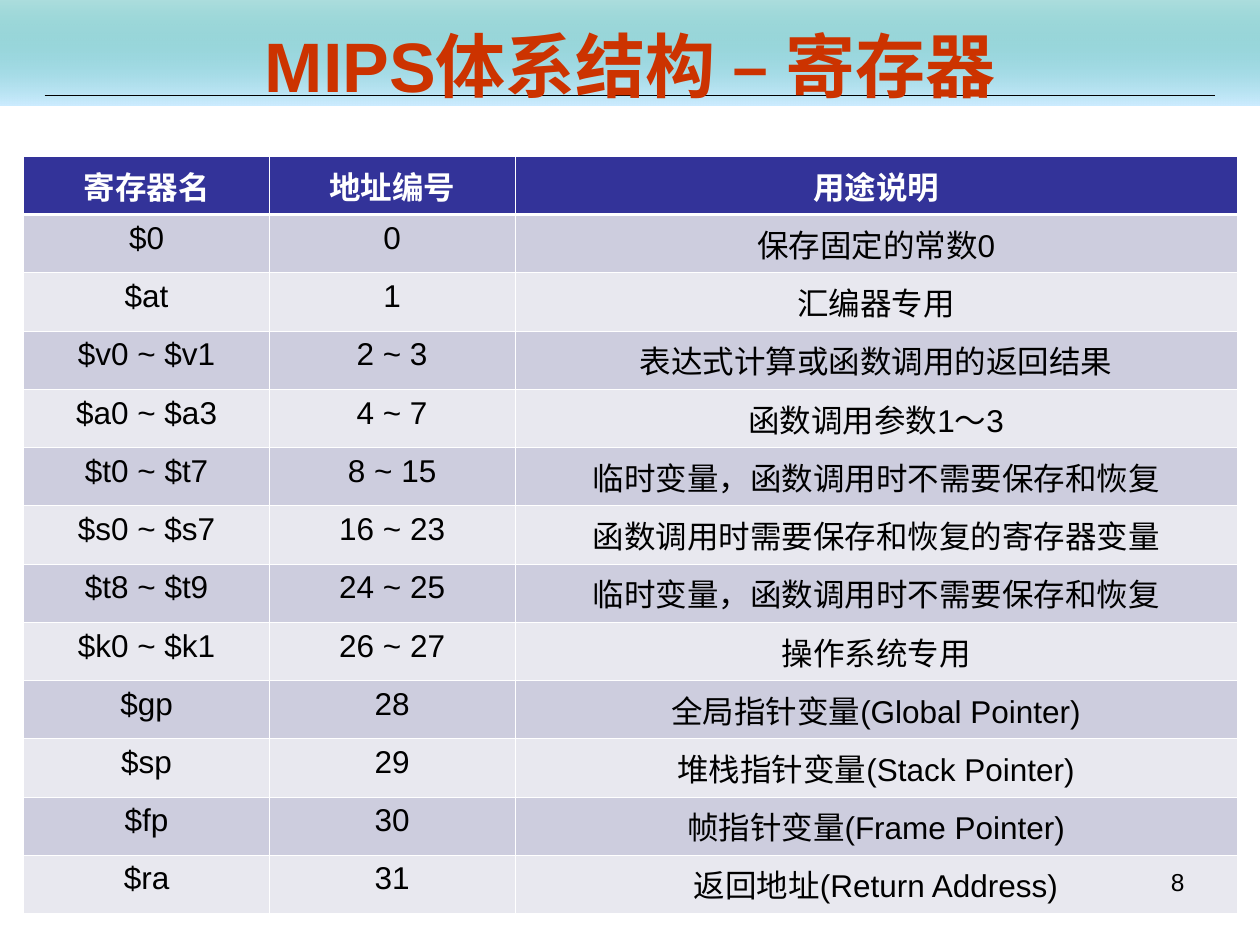
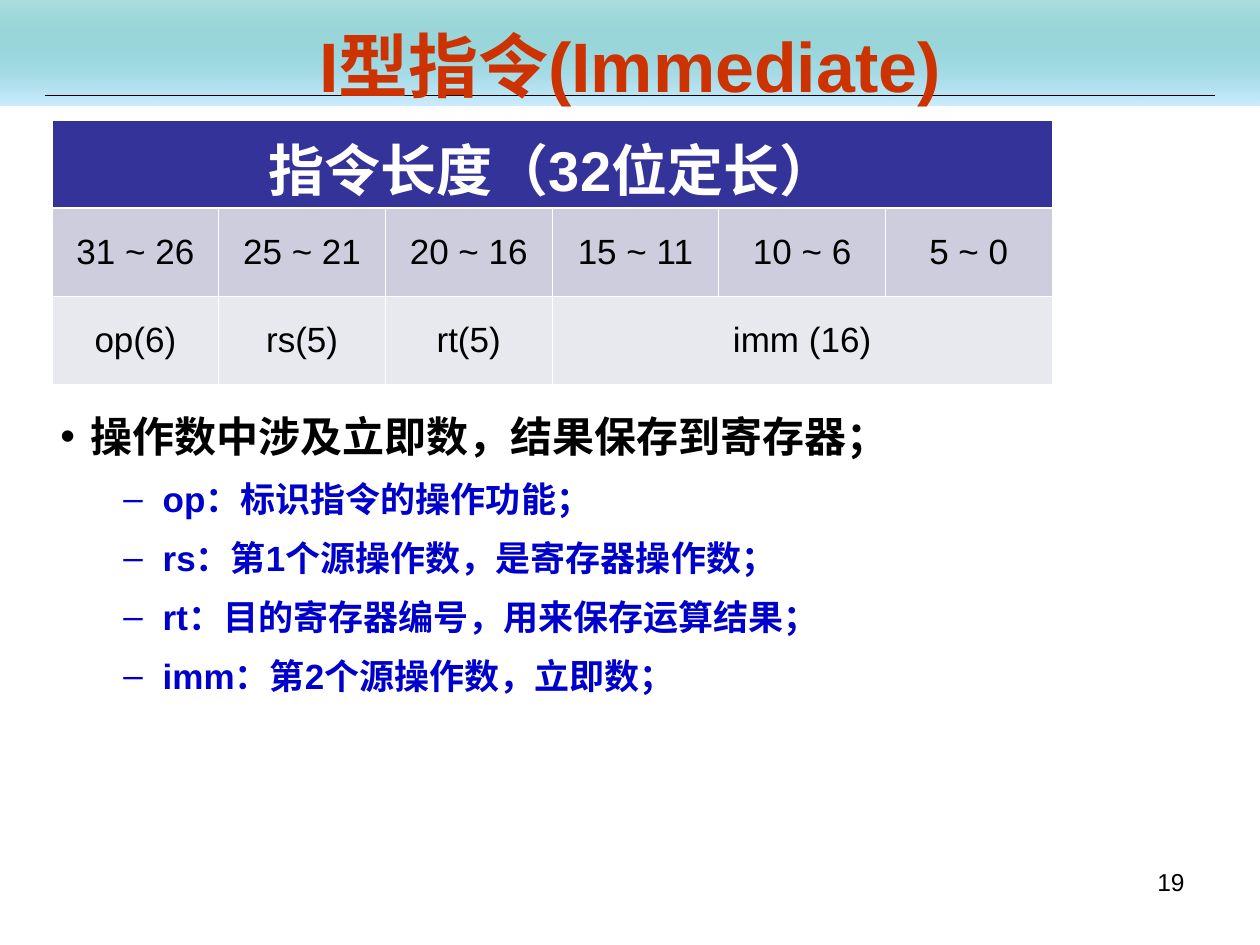
"""Build two slides on the MIPS registers and the I-type instruction format."""
from dataclasses import dataclass, field

from lxml.etree import SubElement
from pptx import Presentation
from pptx.dml.color import RGBColor
from pptx.enum.shapes import MSO_CONNECTOR, MSO_SHAPE
from pptx.enum.text import MSO_ANCHOR, MSO_AUTO_SIZE, PP_ALIGN
from pptx.oxml import parse_xml
from pptx.oxml.ns import nsdecls, qn
from pptx.slide import Slide, SlideLayout
from pptx.util import Cm, Length, Pt


@dataclass(frozen=True)
class Theme:
    font: str = "Arial"
    title_color: str = "CC3300"
    band_top: str = "009999"
    band_bottom: str = "CCECFF"
    band_top_alpha: int = 32000
    header_fill: str = "333399"
    odd_fill: str = "CDCDDE"
    even_fill: str = "E8E8EF"
    white: str = "FFFFFF"
    black: str = "000000"
    detail_color: str = "0000CC"
    title_size: int = 40
    number_size: int = 14
    rule_width: float = 0.75
    grid_width: float = 0.45
    header_rule_width: float = 1.47


@dataclass(frozen=True)
class BulletLevel:
    level: int
    mark: str
    size: int
    color: str
    left: Length
    hanging: Length
    space_before: int


@dataclass(frozen=True)
class Grid:
    left: Length
    top: Length
    columns: list[Length]
    row_height: Length
    rows: list[tuple[str, ...]]
    header_size: int
    body_size: int
    anchor: MSO_ANCHOR
    spans: list[tuple[int, int, int]] = field(default_factory=list)


THEME = Theme()
POINT = BulletLevel(0, "•", 24, THEME.black, Cm(0.6), Cm(0.6), 6)
DETAIL = BulletLevel(1, "–", 20, THEME.detail_color, Cm(2.06), Cm(0.79), 6)

REGISTERS = Grid(
    Cm(0.48), Cm(3.15), [Cm(4.95), Cm(4.95), Cm(14.56)], Cm(1.07),
    [
        ("寄存器名", "地址编号", "用途说明"),
        ("$0", "0", "保存固定的常数0"),
        ("$at", "1", "汇编器专用"),
        ("$v0 ~ $v1", "2 ~ 3", "表达式计算或函数调用的返回结果"),
        ("$a0 ~ $a3", "4 ~ 7", "函数调用参数1～3"),
        ("$t0 ~ $t7", "8 ~ 15", "临时变量，函数调用时不需要保存和恢复"),
        ("$s0 ~ $s7", "16 ~ 23", "函数调用时需要保存和恢复的寄存器变量"),
        ("$t8 ~ $t9", "24 ~ 25", "临时变量，函数调用时不需要保存和恢复"),
        ("$k0 ~ $k1", "26 ~ 27", "操作系统专用"),
        ("$gp", "28", "全局指针变量(Global Pointer)"),
        ("$sp", "29", "堆栈指针变量(Stack Pointer)"),
        ("$fp", "30", "帧指针变量(Frame Pointer)"),
        ("$ra", "31", "返回地址(Return Address)"),
    ],
    18, 18, MSO_ANCHOR.TOP,
)

INSTRUCTION_FIELDS = Grid(
    Cm(1.05), Cm(2.43), [Cm(3.36)] * 6, Cm(1.77),
    [
        ("指令长度（32位定长）", "", "", "", "", ""),
        ("31 ~ 26", "25 ~ 21", "20 ~ 16", "15 ~ 11", "10 ~ 6", "5 ~ 0"),
        ("op(6)", "rs(5)", "rt(5)", "imm (16)", "", ""),
    ],
    32, 20, MSO_ANCHOR.MIDDLE, [(0, 0, 5), (2, 3, 5)],
)

FIELD_NOTES = [
    (POINT, "操作数中涉及立即数，结果保存到寄存器；"),
    (DETAIL, "op：标识指令的操作功能；"),
    (DETAIL, "rs：第1个源操作数，是寄存器操作数；"),
    (DETAIL, "rt：目的寄存器编号，用来保存运算结果；"),
    (DETAIL, "imm：第2个源操作数，立即数；"),
]


def rgb(color: str) -> RGBColor:
    """Turn a hex string into a colour."""
    return RGBColor.from_string(color)


def add_run(paragraph, text: str, size: int, color: str, bold: bool = False):
    """Append a formatted run and return it."""
    run = paragraph.add_run()
    run.text = text
    run.font.name = THEME.font
    run.font.size = Pt(size)
    run.font.bold = bold
    run.font.color.rgb = rgb(color)
    return run


def move_band_to_layout(slide: Slide, layout: SlideLayout) -> None:
    """Draw the title band and its rule, and place them on the shared layout."""
    band = slide.shapes.add_shape(MSO_SHAPE.RECTANGLE, Cm(0), Cm(0), Cm(25.4), Cm(2.13))
    band.shadow.inherit = False
    band.line.fill.background()
    band.fill.gradient()
    band.fill.gradient_angle = 270
    stops = band.fill.gradient_stops
    for stop, position, color in zip(stops, (0, 1), (THEME.band_top, THEME.band_bottom)):
        stop.position = position
        stop.color.rgb = rgb(color)
    top_color = next(band.element.iter(qn("a:srgbClr")))
    SubElement(top_color, qn("a:alpha"), val=str(THEME.band_top_alpha))

    rule = slide.shapes.add_connector(
        MSO_CONNECTOR.STRAIGHT, Cm(0.9), Cm(1.93), Cm(24.5), Cm(1.93))
    rule.line.color.rgb = rgb(THEME.black)
    rule.line.width = Pt(THEME.rule_width)
    SubElement(rule.element.spPr, qn("a:effectLst"))

    for index, part in enumerate((band, rule), start=2):
        layout.shapes.element.insert(index, part.element)


def set_title(slide: Slide, text: str) -> None:
    """Place and format the title placeholder."""
    title = slide.shapes.title
    title.left, title.top, title.width, title.height = Cm(1.27), Cm(0.53), Cm(22.86), Cm(1.55)
    frame = title.text_frame
    frame.auto_size = MSO_AUTO_SIZE.NONE
    frame.vertical_anchor = MSO_ANCHOR.MIDDLE
    frame.paragraphs[0].alignment = PP_ALIGN.CENTER
    add_run(frame.paragraphs[0], text, THEME.title_size, THEME.title_color, True)


def add_page_number(slide: Slide, number: int) -> None:
    """Write the page number at the lower right."""
    footer = slide.shapes.add_textbox(Cm(18.2), Cm(17.35), Cm(5.93), Cm(1.32))
    footer.text_frame.word_wrap = True
    paragraph = footer.text_frame.paragraphs[0]
    paragraph.alignment = PP_ALIGN.RIGHT
    add_run(paragraph, str(number), THEME.number_size, THEME.black)


def set_borders(cell, row: int) -> None:
    """Give a cell white borders, heavier between header and body."""
    heavy_side = {0: "B", 1: "T"}.get(row)
    properties = cell._tc.get_or_add_tcPr()
    for index, side in enumerate("LRTB"):
        width = THEME.header_rule_width if side == heavy_side else THEME.grid_width
        properties.insert(index, parse_xml(
            f'<a:ln{side} {nsdecls("a")} w="{Pt(width)}"><a:solidFill>'
            f'<a:srgbClr val="{THEME.white}"/></a:solidFill></a:ln{side}>'))


def add_grid(slide: Slide, grid: Grid) -> None:
    """Draw a table with a dark header and alternating rows."""
    table = slide.shapes.add_table(
        len(grid.rows), len(grid.columns), grid.left, grid.top,
        Length(sum(grid.columns)), Length(grid.row_height * len(grid.rows))).table
    for column, width in zip(table.columns, grid.columns):
        column.width = width
    for row, texts in enumerate(grid.rows):
        table.rows[row].height = grid.row_height
        header = row == 0
        fill = THEME.header_fill if header else (THEME.even_fill, THEME.odd_fill)[row % 2]
        size = grid.header_size if header else grid.body_size
        color = THEME.white if header else THEME.black
        for column, text in enumerate(texts):
            cell = table.cell(row, column)
            cell.fill.solid()
            cell.fill.fore_color.rgb = rgb(fill)
            cell.vertical_anchor = grid.anchor
            set_borders(cell, row)
            if text:
                paragraph = cell.text_frame.paragraphs[0]
                paragraph.alignment = PP_ALIGN.CENTER
                add_run(paragraph, text, size, color, header)
    for row, first, last in grid.spans:
        table.cell(row, first).merge(table.cell(row, last))


def add_notes_list(slide: Slide, notes: list[tuple[BulletLevel, str]]) -> None:
    """Write the bulleted explanation below the instruction fields."""
    body = slide.shapes.add_textbox(Cm(0.97), Cm(8), Cm(22.86), Cm(8.9))
    frame = body.text_frame
    frame.word_wrap = True
    for index, (style, text) in enumerate(notes):
        paragraph = frame.add_paragraph() if index else frame.paragraphs[0]
        paragraph.level = style.level
        paragraph.line_spacing = 1.15
        paragraph.space_before = Pt(style.space_before if index else 0)
        properties = paragraph._p.get_or_add_pPr()
        properties.set("marL", str(style.left))
        properties.set("indent", str(-style.hanging))
        bullet_color = SubElement(properties, qn("a:buClr"))
        SubElement(bullet_color, qn("a:srgbClr"), val=style.color)
        SubElement(properties, qn("a:buFont"), typeface=THEME.font)
        SubElement(properties, qn("a:buChar"), char=style.mark)
        run = add_run(paragraph, text, style.size, style.color, True)
        SubElement(run._r.get_or_add_rPr(), qn("a:ea"), typeface=THEME.font)


def main() -> None:
    """Assemble and save the presentation."""
    presentation = Presentation()
    presentation.slide_width, presentation.slide_height = Cm(25.4), Cm(19.05)
    layout = presentation.slide_layouts[5]

    registers = presentation.slides.add_slide(layout)
    move_band_to_layout(registers, layout)
    set_title(registers, "MIPS体系结构 – 寄存器")
    add_grid(registers, REGISTERS)
    add_page_number(registers, 8)

    immediate = presentation.slides.add_slide(layout)
    set_title(immediate, "I型指令(Immediate)")
    add_notes_list(immediate, FIELD_NOTES)
    add_page_number(immediate, 19)
    add_grid(immediate, INSTRUCTION_FIELDS)

    presentation.save("out.pptx")


if __name__ == "__main__":
    main()
